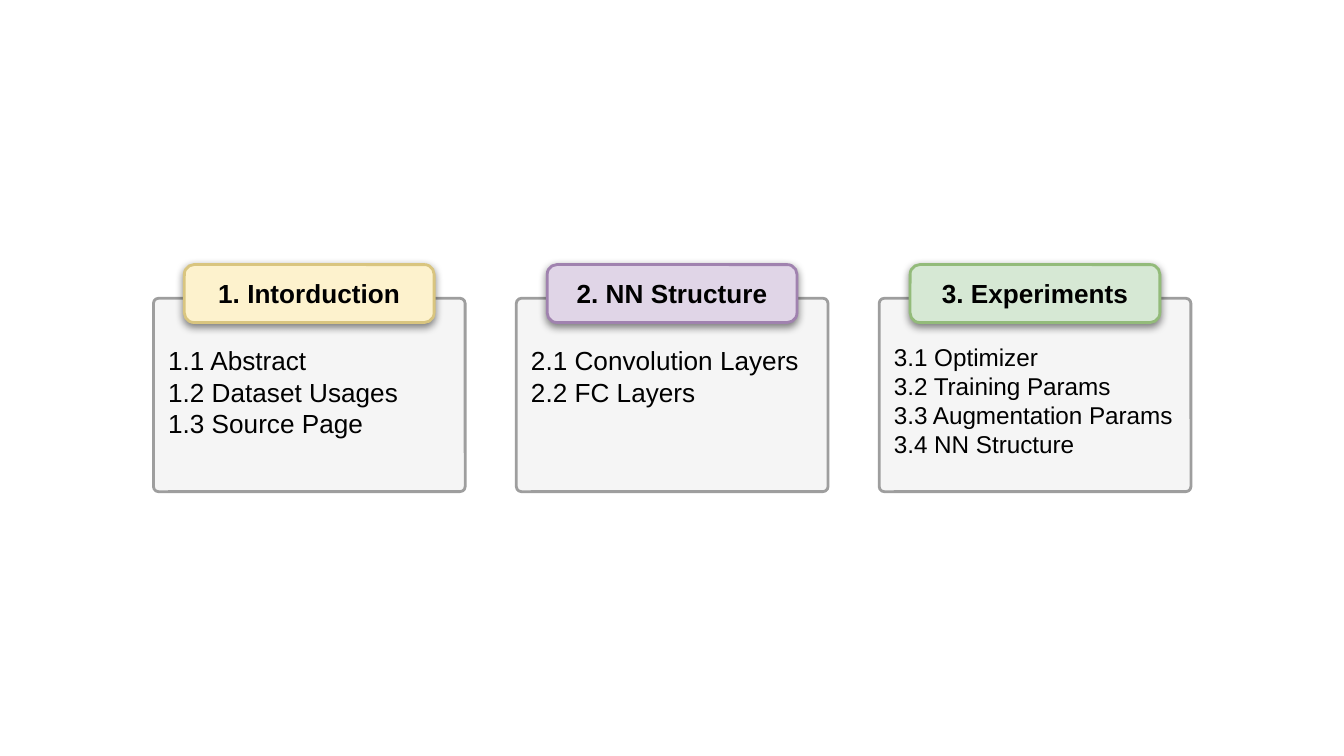
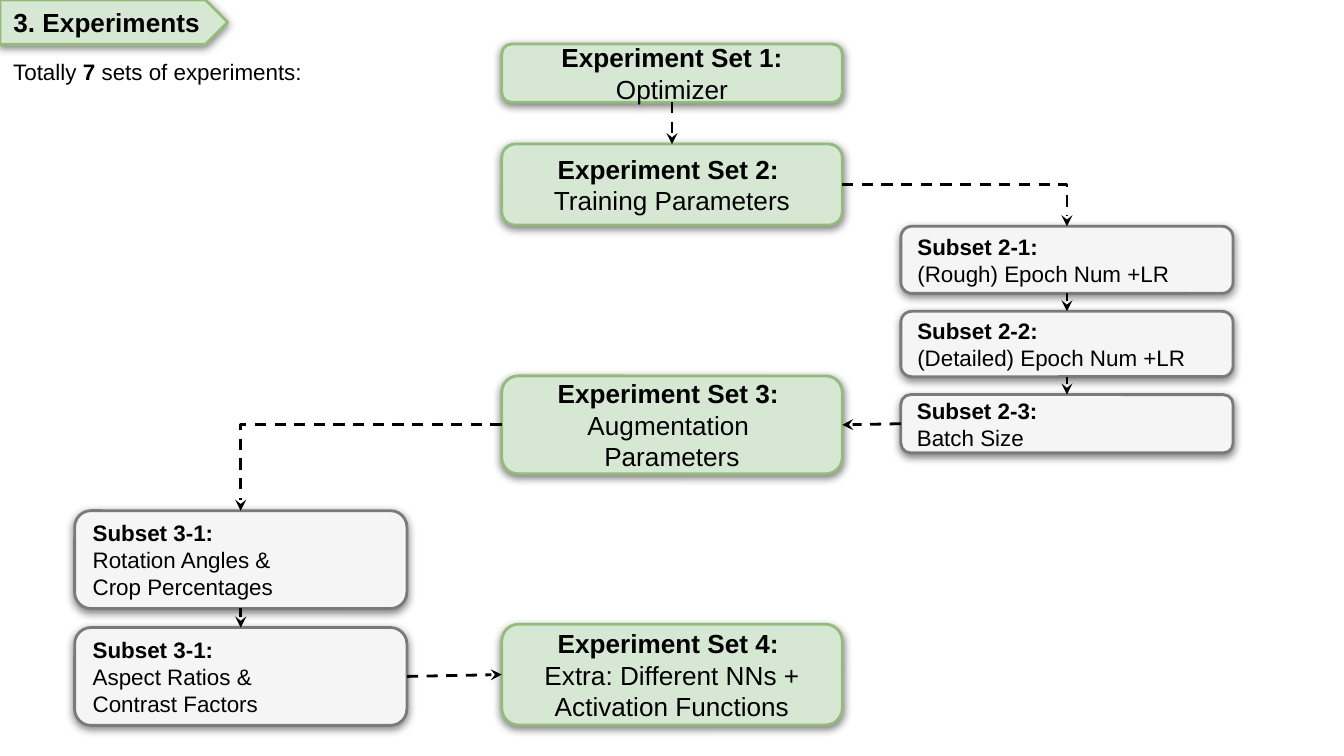
"""Build a two-slide deck: an agenda and the flow of the experiments."""
from lxml.etree import SubElement
from pptx import Presentation
from pptx.dml.color import RGBColor
from pptx.enum.dml import MSO_LINE
from pptx.enum.shapes import MSO_CONNECTOR, MSO_SHAPE
from pptx.enum.text import MSO_ANCHOR, MSO_AUTO_SIZE, PP_ALIGN
from pptx.oxml import parse_xml
from pptx.oxml.ns import nsdecls, qn
from pptx.util import Pt

COLORS = {
    "text": "000000",
    "panel": "F5F5F5",
    "panel line": "9E9E9E",
    "subset line": "7A7A7A",
    "yellow": "FDF2CD",
    "yellow line": "D9C57F",
    "purple": "E0D5E7",
    "purple line": "A082AF",
    "green": "D6E8D4",
    "green line": "93BB7A",
}
FRAME_FORMAT = {
    "word_wrap": True,
    "auto_size": MSO_AUTO_SIZE.NONE,
    "vertical_anchor": MSO_ANCHOR.MIDDLE,
    "margin_left": Pt(7.2),
    "margin_right": Pt(7.2),
    "margin_top": Pt(7.2),
    "margin_bottom": Pt(7.2),
}
SHADOW = (
    f'<a:outerShdw {nsdecls("a")} blurRad="57150" dist="19050" dir="5400000" algn="bl" '
    'rotWithShape="0"><a:srgbClr val="000000"><a:alpha val="50000"/></a:srgbClr></a:outerShdw>'
)


def write_text(shape, text, size, alignment=PP_ALIGN.LEFT, **changes):
    """Write one paragraph per line, with the parts between asterisks in bold."""
    frame = shape.text_frame
    for name, value in {**FRAME_FORMAT, **changes}.items():
        setattr(frame, name, value)
    for index, line in enumerate(text.split("\n")):
        paragraph = frame.add_paragraph() if index else frame.paragraphs[0]
        paragraph.alignment = alignment
        for part, words in enumerate(line.split("*")):
            if words:
                run = paragraph.add_run()
                run.text = words
                run_format = {"name": "Arial", "size": Pt(size), "bold": part % 2 == 1}
                for name, value in run_format.items():
                    setattr(run.font, name, value)
                run.font.color.rgb = RGBColor.from_string(COLORS["text"])


def style_box(shape, fill, line, corner=0.167, shadow=True):
    """Give a shape its fill, outline, corner size and shadow."""
    shape.fill.solid()
    shape.fill.fore_color.rgb = RGBColor.from_string(COLORS[fill])
    shape.line.color.rgb = RGBColor.from_string(COLORS[line])
    shape.line.width = Pt(1.5)
    shape.adjustments[0] = corner
    shape.shadow.inherit = False
    if shadow:
        shape._element.spPr.find(qn("a:effectLst")).append(parse_xml(SHADOW))


presentation = Presentation()
presentation.slide_width = Pt(720)
presentation.slide_height = Pt(405)
title_only_layout, blank_layout = presentation.slide_layouts[5], presentation.slide_layouts[6]

agenda_slide = presentation.slides.add_slide(blank_layout)
chapters = [
    ("1. Intorduction", "yellow", 14, "1.1 Abstract\n1.2 Dataset Usages\n1.3 Source Page"),
    ("2. NN Structure", "purple", 14, "2.1 Convolution Layers\n2.2 FC Layers"),
    ("3. Experiments", "green", 13,
     "3.1 Optimizer\n3.2 Training Params\n3.3 Augmentation Params\n3.4 NN Structure"),
]
for column, (heading, color, size, sections) in enumerate(chapters):
    left = 82.2 + 194.4 * column
    group = agenda_slide.shapes.add_group_shape()
    panel = group.shapes.add_shape(
        MSO_SHAPE.ROUNDED_RECTANGLE, Pt(left), Pt(159.8), Pt(167), Pt(103.6))
    style_box(panel, "panel", "panel line", 0.026, shadow=False)
    write_text(panel, sections, size, vertical_anchor=MSO_ANCHOR.TOP,
               margin_top=Pt(7.2 + 1.2 * size))
    header = group.shapes.add_shape(
        MSO_SHAPE.ROUNDED_RECTANGLE, Pt(left + 16.6), Pt(141.8), Pt(133.8), Pt(31))
    style_box(header, color, f"{color} line")
    write_text(header, f"*{heading}*", 14, PP_ALIGN.CENTER)

flow_slide = presentation.slides.add_slide(title_only_layout)
title = flow_slide.shapes.title
title_place = {"left": 0, "top": 0, "width": Pt(122), "height": Pt(23.8)}
for name, value in title_place.items():
    setattr(title, name, value)
write_text(title, "*3. Experiments*", 14)
title_band = flow_slide.shapes.add_shape(MSO_SHAPE.PENTAGON, *title_place.values())
style_box(title_band, "green", "green line", 0.5)
title._element.addprevious(title_band._element)

box_kinds = {
    "set": (268.8, 182.4, "green", "green line", 14, PP_ALIGN.CENTER),
    "right subset": (482.6, 178, "panel", "subset line", 12, PP_ALIGN.LEFT),
    "left subset": (40, 178, "panel", "subset line", 12, PP_ALIGN.LEFT),
}
flow_boxes = [
    ("optimizer", "set", 23.6, 31.2, "*Experiment Set 1: *Optimizer"),
    ("training", "set", 77.2, 43.4, "*Experiment Set 2: *\nTraining Parameters"),
    ("augmentation", "set", 201.4, 52.4, "*Experiment Set 3: *\nAugmentation \nParameters"),
    ("extra", "set", 334.4, 54, "*Experiment Set 4: *\nExtra: Different NNs + Activation Functions"),
    ("rough", "right subset", 121.2, 36, "*Subset 2-1:*\n(Rough) Epoch Num +LR"),
    ("detailed", "right subset", 166.8, 35, "*Subset 2-2:*\n(Detailed) Epoch Num +LR"),
    ("batch", "right subset", 211.4, 31.2, "*Subset 2-3:*\nBatch Size"),
    ("rotation", "left subset", 273.6, 52.4, "*Subset 3-1:*\nRotation Angles &\nCrop Percentages"),
    ("aspect", "left subset", 336.2, 52.4, "*Subset 3-1:*\nAspect Ratios &\nContrast Factors"),
]
boxes = {}
for name, kind, top, height, text in flow_boxes:
    left, width, fill, line, size, alignment = box_kinds[kind]
    box = flow_slide.shapes.add_shape(
        MSO_SHAPE.ROUNDED_RECTANGLE, Pt(left), Pt(top), Pt(width), Pt(height))
    style_box(box, fill, line)
    write_text(box, text, size, alignment)
    boxes[name] = box

sites = {"top": 0, "left": 1, "bottom": 2, "right": 3}
arrows = [
    ("optimizer", "bottom", "training", "top"),
    ("training", "right", "rough", "top"),
    ("rough", "bottom", "detailed", "top"),
    ("detailed", "bottom", "batch", "top"),
    ("batch", "left", "augmentation", "right"),
    ("augmentation", "left", "rotation", "top"),
    ("rotation", "bottom", "aspect", "top"),
    ("aspect", "right", "extra", "left"),
]
for start, start_side, end, end_side in arrows:
    arrow = flow_slide.shapes.add_connector(MSO_CONNECTOR.STRAIGHT, 0, 0, 0, 0)
    arrow.begin_connect(boxes[start], sites[start_side])
    arrow.end_connect(boxes[end], sites[end_side])
    arrow.line.color.rgb = RGBColor.from_string(COLORS["text"])
    arrow.line.width = Pt(1.5)
    arrow.line.dash_style = MSO_LINE.DASH
    properties = arrow._element.spPr
    if start_side in ("left", "right") and end_side == "top":
        properties.find(qn("a:prstGeom")).set("prst", "bentConnector2")
    SubElement(properties.find(qn("a:ln")), qn("a:tailEnd"), type="stealth")
    SubElement(properties, qn("a:effectLst"))

summary = flow_slide.shapes.add_textbox(0, Pt(23.8), Pt(182.4), Pt(28.8))
write_text(summary, "Totally *7* sets of experiments:", 12,
           auto_size=MSO_AUTO_SIZE.SHAPE_TO_FIT_TEXT, vertical_anchor=MSO_ANCHOR.TOP)

presentation.save("out.pptx")
